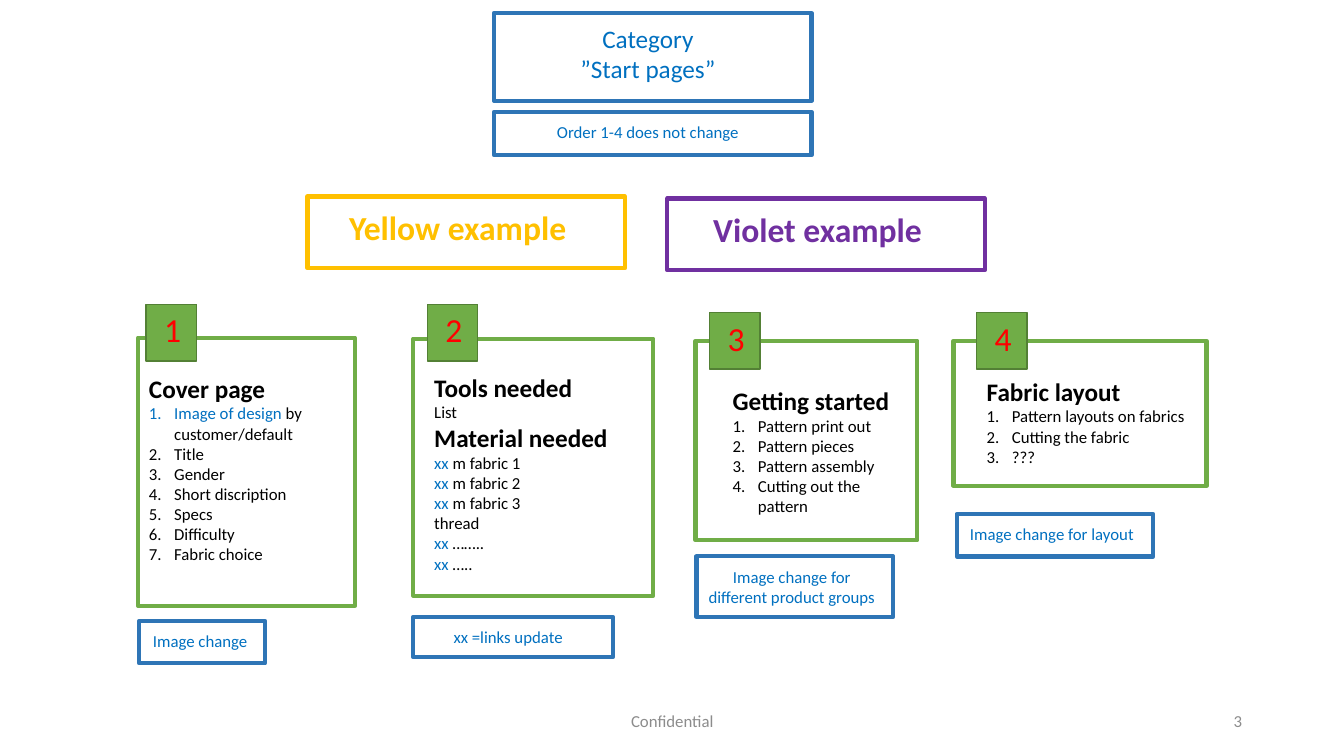
from dataclasses import dataclass

from lxml import etree
from pptx import Presentation
from pptx import util as u
from pptx.dml.color import RGBColor
from pptx.enum import shapes, text
from pptx.oxml.ns import qn

# Grid: ten columns and ten rows to the inch
CELL = u.Inches(0.1)
COLS, ROWS = 133.33, 75
FONT = "Calibri"
BLACK, BLUE, RED, GREY = "000000", "0070C0", "FF0000", "8C8C8C"
GREEN, DARK_GREEN, FRAME_BLUE = "70AD47", "538035", "2E75B6"
YELLOW, VIOLET = "FFC000", "7030A0"
LEFT, CENTER, RIGHT = text.PP_ALIGN.LEFT, text.PP_ALIGN.CENTER, text.PP_ALIGN.RIGHT


@dataclass
class Box:
    col: float
    row: float
    cols: float
    rows: float

    def emu(self) -> list[int]:
        return [round(n * CELL) for n in (self.col, self.row, self.cols, self.rows)]


@dataclass
class Run:
    text: str
    color: str = BLACK


@dataclass
class Para:
    runs: list[Run]
    size: float = 12
    bold: bool = False
    numbered: bool = False
    align: text.PP_ALIGN = LEFT


@dataclass
class Label:
    frame: Box
    lines: list[str]
    line: str = FRAME_BLUE
    color: str = BLUE
    size: float = 12
    bold: bool = False


@dataclass
class Card:
    frame: Box
    body: Box
    badge: tuple[float, float]
    paras: list[Para]


def rgb(value: str) -> RGBColor:
    return RGBColor.from_string(value)


def add_process(s, box: Box, line: str, width: float = 3, fill: str | None = None) -> None:
    sp = s.shapes.add_shape(shapes.MSO_SHAPE.FLOWCHART_PROCESS, *box.emu())
    sp.shadow.inherit = False
    if fill:
        sp.fill.solid()
        sp.fill.fore_color.rgb = rgb(fill)
    else:
        sp.fill.background()
    sp.line.color.rgb = rgb(line)
    sp.line.width = u.Pt(width)


def number(p) -> None:
    pPr = p._p.get_or_add_pPr()
    pPr.set("marL", str(u.Inches(0.25)))
    pPr.set("indent", str(-u.Inches(0.25)))
    etree.SubElement(pPr, qn("a:buFont"), typeface="+mj-lt")
    etree.SubElement(pPr, qn("a:buAutoNum"), type="arabicPeriod")


def add_text(s, box: Box, paras: list[Para], middle: bool = False) -> None:
    tf = s.shapes.add_textbox(*box.emu()).text_frame
    tf.word_wrap = True
    if middle:
        tf.vertical_anchor = text.MSO_ANCHOR.MIDDLE
    else:
        tf.auto_size = text.MSO_AUTO_SIZE.SHAPE_TO_FIT_TEXT
    for i, para in enumerate(paras):
        p = tf.paragraphs[0] if i == 0 else tf.add_paragraph()
        p.alignment = para.align
        if para.numbered:
            number(p)
        for run in para.runs:
            r = p.add_run()
            r.text = run.text
            r.font.name = FONT
            r.font.size = u.Pt(para.size)
            r.font.bold = para.bold
            r.font.color.rgb = rgb(run.color)


def add_label(s, label: Label) -> None:
    f = label.frame
    add_process(s, f, label.line)
    paras = [Para([Run(t, label.color)], label.size, label.bold, align=CENTER) for t in label.lines]
    add_text(s, Box(f.col, f.row + 0.5, f.cols * 0.97, f.rows * 0.7), paras)


def add_card(s, card: Card, index: int) -> None:
    add_process(s, card.frame, GREEN)
    add_text(s, card.body, card.paras)
    col, row = card.badge
    add_process(s, Box(col, row, 5, 5.6), DARK_GREEN, 1, GREEN)
    add_text(s, Box(col + 0.8, row, 3.4, 5), [Para([Run(str(index), RED)], 24)])


def heading(words: str) -> Para:
    return Para([Run(words)], 18, True)


def steps(*items: str) -> list[Para]:
    return [Para([Run(item)], numbered=True) for item in items]


def linked(*items: str) -> list[Para]:
    return [Para([Run("xx", BLUE), Run(" " + item)]) for item in items]


# Content
LABELS = [
    Label(Box(49, 1.3, 31.5, 8.7), ["Category", "”Start pages”"], size=18),
    Label(Box(49, 11.1, 31.5, 4.3), ["Order 1-4 does not change"]),
    Label(Box(30.5, 19.5, 31.5, 7.1), ["Yellow example "], YELLOW, YELLOW, 24, True),
    Label(Box(66.2, 19.7, 31.5, 7.1), ["Violet example "], VIOLET, VIOLET, 24, True),
    Label(Box(13.8, 61.6, 12.5, 4.2), ["Image change"]),
    Label(Box(41, 61.2, 19.8, 4), ["xx =links update "]),
    Label(Box(69.1, 55.2, 19.5, 6), ["Image change for different product groups"]),
    Label(Box(94.9, 51, 19.5, 4.2), ["Image change for layout"]),
]
CARDS = [
    Card(Box(13.7, 33.5, 21.5, 26.6), Box(13.8, 36.5, 20.6, 22.6), (14.5, 30.2), [
        heading("Cover page"),
        Para([Run("Image of design ", BLUE), Run("by customer/default")], numbered=True),
        *steps("Title", "Gender", "Short discription", "Specs", "Difficulty", "Fabric choice"),
    ]),
    Card(Box(41, 33.6, 23.8, 25.5), Box(42.1, 36.4, 20.6, 23.6), (42.4, 30.2), [
        heading("Tools needed"),
        Para([Run("List")]),
        heading("Material needed"),
        *linked("m fabric 1", "m fabric 2", "m fabric 3"),
        Para([Run("thread")]),
        *linked("……..", "….."),
    ]),
    Card(Box(69, 33.8, 22, 19.8), Box(71.7, 37.7, 19.5, 14.5), (70.4, 31), [
        heading("Getting started"),
        *steps("Pattern print out", "Pattern pieces", "Pattern assembly",
               "Cutting out the pattern"),
    ]),
    Card(Box(94.6, 33.8, 25.1, 14.4), Box(96.9, 36.8, 22, 10.1), (96.9, 31), [
        heading("Fabric layout"),
        *steps("Pattern layouts on fabrics", "Cutting the fabric", "???"),
    ]),
]


def main() -> None:
    prs = Presentation()
    prs.slide_width, prs.slide_height = round(COLS * CELL), ROWS * CELL
    s = prs.slides.add_slide(prs.slide_layouts[6])

    # Numbered cards
    for index, card in enumerate(CARDS, 1):
        add_card(s, card, index)

    # Framed labels
    for label in LABELS:
        add_label(s, label)

    # Footer
    add_text(s, Box(44.2, 69.5, 45, 4), [Para([Run("Confidential", GREY)], align=CENTER)], True)
    add_text(s, Box(94.2, 69.5, 30, 4), [Para([Run("3", GREY)], align=RIGHT)], True)
    prs.save("out.pptx")


if __name__ == "__main__":
    main()
